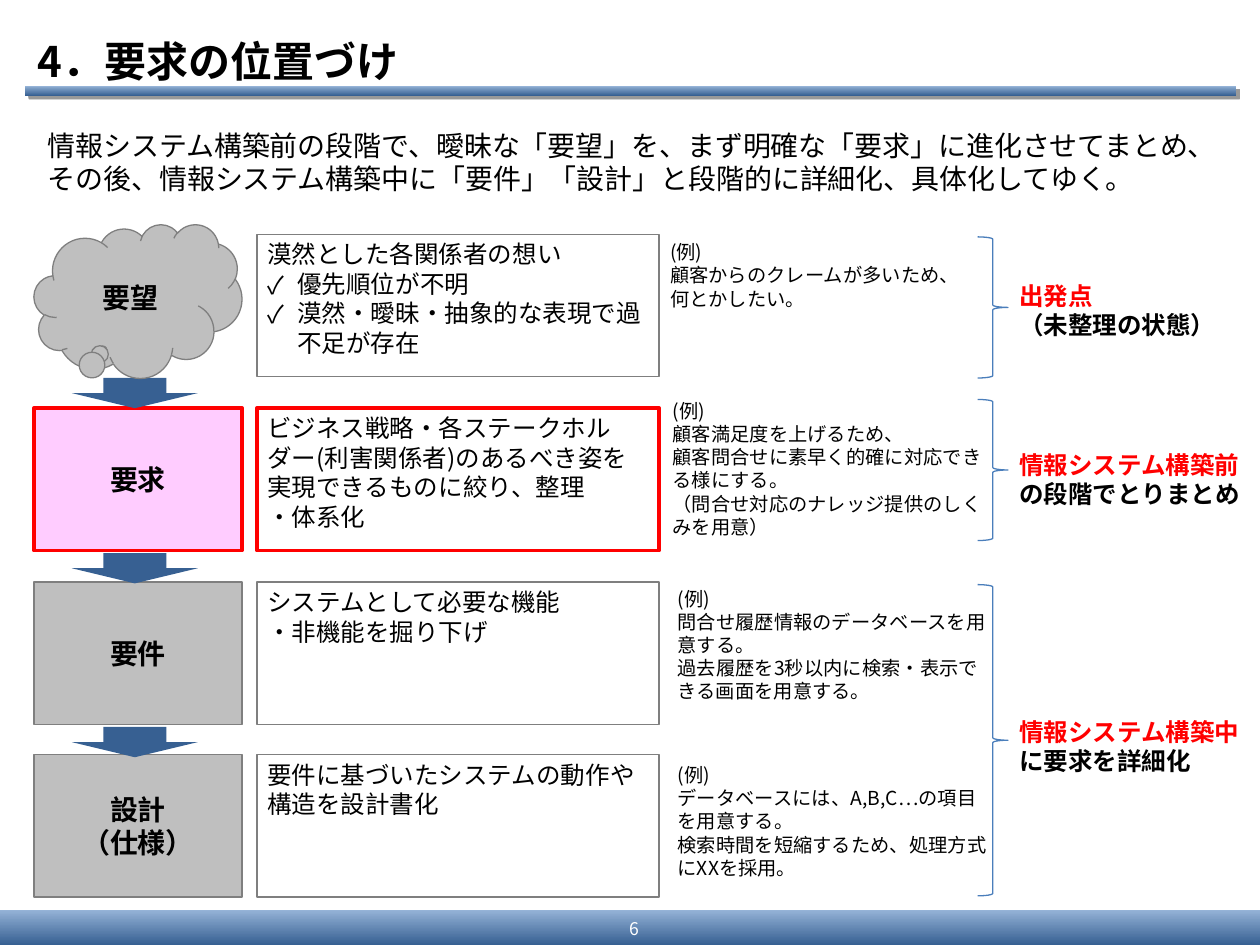
"""Build a slide that places requirements among the stages of a system project."""
from dataclasses import dataclass
from typing import Optional

from lxml import etree
from pptx import Presentation
from pptx import util as u
from pptx.dml.color import RGBColor
from pptx.enum import shapes, text
from pptx.oxml import ns

FONT = "Noto Sans CJK JP"
LINE_RATIO = 1.2
BLACK = RGBColor(0x00, 0x00, 0x00)
WHITE = RGBColor(0xFF, 0xFF, 0xFF)
RED = RGBColor(0xFF, 0x00, 0x00)
PINK = RGBColor(0xFF, 0xCC, 0xFF)
GRAY = RGBColor(0xBF, 0xBF, 0xBF)
DARK_GRAY = RGBColor(0x7F, 0x7F, 0x7F)
NAVY = RGBColor(0x37, 0x60, 0x92)
LIGHT_BLUE = RGBColor(0x95, 0xB3, 0xD7)
BRACE_BLUE = RGBColor(0x4A, 0x7E, 0xBB)


@dataclass(frozen=True)
class Box:
    left: float
    top: float
    width: float
    height: float

    def lengths(self) -> list:
        return [u.Inches(side) for side in (self.left, self.top, self.width, self.height)]


@dataclass(frozen=True)
class Run:
    text: str
    color: RGBColor = BLACK


@dataclass(frozen=True)
class Line:
    runs: tuple
    bullet: bool = False


@dataclass(frozen=True)
class Style:
    size: float
    bold: bool = False
    centered: bool = False
    middle: bool = False
    wrap: bool = True
    inset: tuple = (0.1, 0.05)


@dataclass(frozen=True)
class Stage:
    top: float
    label: tuple
    details: tuple
    example: tuple
    example_left: float
    example_top: float
    arrow_top: Optional[float] = None
    cloud: bool = False
    highlighted: bool = False


@dataclass(frozen=True)
class Phase:
    top: float
    height: float
    note_top: float
    lines: tuple


def plain(*texts: str) -> tuple:
    return tuple(Line((Run(words),)) for words in texts)


def checked(words: str) -> Line:
    return Line((Run(words),), bullet=True)


LABEL = Style(16, bold=True, centered=True, middle=True, wrap=False, inset=(0.08, 0))
DETAIL = Style(14, inset=(0.08, 0.04))
EXAMPLE = Style(11)
NOTE = Style(14, bold=True)

STAGES = (
    Stage(1.86, plain("要望"),
          plain("漠然とした各関係者の想い")
          + (checked("優先順位が不明"), checked("漠然・曖昧・抽象的な表現で過不足が存在")),
          plain("(例)", "顧客からのクレームが多いため、", "何とかしたい。"),
          5.22, 1.86, cloud=True),
    Stage(3.24, plain("要求"),
          plain("ビジネス戦略・各ステークホルダー(利害関係者)のあるべき姿を実現できるものに絞り、整理", "・体系化"),
          plain("(例)", "顧客満足度を上げるため、", "顧客問合せに素早く的確に対応できる様にする。",
                "（問合せ対応のナレッジ提供のしくみを用意）"),
          5.24, 3.12, arrow_top=3, highlighted=True),
    Stage(4.62, plain("要件"),
          plain("システムとして必要な機能", "・非機能を掘り下げ"),
          plain("(例)", "問合せ履歴情報のデータベースを用意する。",
                "過去履歴を3秒以内に検索・表示できる画面を用意する。"),
          5.28, 4.61, arrow_top=4.39),
    Stage(5.99, plain("設計", "（仕様）"),
          plain("要件に基づいたシステムの動作や構造を設計書化"),
          plain("(例)", "データベースには、A,B,C…の項目を用意する。",
                "検索時間を短縮するため、処理方式にXXを採用。"),
          5.28, 6.01, arrow_top=5.77),
)
PHASES = (
    Phase(1.88, 1.12, 2.18,
          (Line((Run("出発点", RED),)), Line((Run("（未整理の状態）"),)))),
    Phase(3.17, 1.12, 3.52, (Line((Run("情報システム構築前", RED), Run("の段階でとりまとめ"))),)),
    Phase(4.64, 2.47, 5.64, (Line((Run("情報システム構築中", RED), Run("に要求を詳細化"))),)),
)


def add_bullet(paragraph) -> None:
    properties = paragraph._p.get_or_add_pPr()
    properties.set("marL", str(u.Inches(0.24)))
    properties.set("indent", str(-u.Inches(0.24)))
    etree.SubElement(properties, ns.qn("a:buFont")).set("typeface", FONT)
    etree.SubElement(properties, ns.qn("a:buChar")).set("char", "✓")


def write(shape, lines: tuple, style: Style) -> None:
    frame = shape.text_frame
    frame.word_wrap = style.wrap
    frame.margin_left = frame.margin_right = u.Inches(style.inset[0])
    frame.margin_top = frame.margin_bottom = u.Inches(style.inset[1])
    frame.vertical_anchor = text.MSO_ANCHOR.MIDDLE if style.middle else text.MSO_ANCHOR.TOP
    for index, line in enumerate(lines):
        paragraph = frame.add_paragraph() if index else frame.paragraphs[0]
        if line.bullet:
            add_bullet(paragraph)
        paragraph.alignment = text.PP_ALIGN.CENTER if style.centered else text.PP_ALIGN.LEFT
        paragraph.line_spacing = u.Pt(style.size * LINE_RATIO)
        for part in line.runs:
            run = paragraph.add_run()
            run.text = part.text
            run.font.size = u.Pt(style.size)
            run.font.bold = style.bold
            run.font.color.rgb = part.color
            run.font.name = FONT
            east_asian = etree.Element(ns.qn("a:ea"), typeface=FONT)
            run._r.rPr.find(ns.qn("a:latin")).addnext(east_asian)


def add_text(slide, box: Box, lines: tuple, style: Style) -> None:
    write(slide.shapes.add_textbox(*box.lengths()), lines, style)


def add_preset(slide, kind, box: Box, fill: Optional[RGBColor] = None,
               line: Optional[RGBColor] = None, weight: float = 0.75):
    shape = slide.shapes.add_shape(kind, *box.lengths())
    shape.shadow.inherit = False
    if fill is None:
        shape.fill.background()
    else:
        shape.fill.solid()
        shape.fill.fore_color.rgb = fill
    if line is None:
        shape.line.fill.background()
    else:
        shape.line.color.rgb = line
        shape.line.width = u.Pt(weight)
    return shape


def add_gradient_bar(slide, box: Box):
    bar = add_preset(slide, shapes.MSO_SHAPE.RECTANGLE, box)
    bar.fill.gradient()
    bar.fill.gradient_angle = 90
    for stop, color in zip(bar.fill.gradient_stops, (NAVY, LIGHT_BLUE)):
        stop.color.rgb = color
    return bar


def add_shadow(shape) -> None:
    effects = shape._element.spPr.find(ns.qn("a:effectLst"))
    shadow = etree.SubElement(effects, ns.qn("a:outerShdw"), dist=str(u.Pt(3)), dir="2700000",
                              algn="tl", rotWithShape="0")
    color = etree.SubElement(shadow, ns.qn("a:srgbClr"), val=str(BLACK))
    etree.SubElement(color, ns.qn("a:alpha"), val="40000")


def add_stage(slide, stage: Stage) -> None:
    kinds = shapes.MSO_SHAPE
    outline, weight = (RED, 2.25) if stage.highlighted else (DARK_GRAY, 0.75)
    detail = add_preset(slide, kinds.RECTANGLE, Box(2.04, stage.top, 3.19, 1.13), WHITE, outline, weight)
    write(detail, stage.details, DETAIL)
    label_box = Box(0.27, 1.78, 1.65, 1.22) if stage.cloud else Box(0.27, stage.top, 1.65, 1.13)
    label = add_preset(slide, kinds.CLOUD_CALLOUT if stage.cloud else kinds.RECTANGLE, label_box,
                       PINK if stage.highlighted else GRAY, outline, weight)
    if stage.cloud:
        label.adjustments[0], label.adjustments[1] = -0.17, 0.32
    write(label, stage.label, LABEL)
    if stage.arrow_top is not None:
        add_preset(slide, kinds.DOWN_ARROW, Box(0.57, stage.arrow_top, 1, 0.24), NAVY)
    add_text(slide, Box(stage.example_left, stage.example_top, 2.71, 1.02), stage.example, EXAMPLE)


def add_phase(slide, phase: Phase) -> None:
    brace = add_preset(slide, shapes.MSO_SHAPE.RIGHT_BRACE,
                       Box(7.76, phase.top, 0.24, phase.height), line=BRACE_BLUE)
    brace.adjustments[0] = 0.08
    add_text(slide, Box(7.99, phase.note_top, 1.97, 0.57), phase.lines, NOTE)


def main() -> None:
    presentation = Presentation()
    presentation.slide_width, presentation.slide_height = u.Inches(10), u.Inches(7.5)
    slide = presentation.slides.add_slide(presentation.slide_layouts[6])
    add_gradient_bar(slide, Box(0, 7.22, 10, 0.28))
    add_shadow(add_gradient_bar(slide, Box(0.2, 0.68, 9.61, 0.08)))
    add_text(slide, Box(4.76, 7.23, 0.55, 0.28), (Line((Run("6", WHITE),)),),
             Style(10, centered=True, middle=True, inset=(0.1, 0.04)))
    add_text(slide, Box(0.2, 0.21, 9.8, 0.54), plain("4．要求の位置づけ"),
             Style(24, bold=True, middle=True))
    add_text(slide, Box(0.28, 0.97, 9.61, 0.64), plain(
        "情報システム構築前の段階で、曖昧な「要望」を、まず明確な「要求」に進化させてまとめ、"
        "その後、情報システム構築中に「要件」「設計」と段階的に詳細化、具体化してゆく。"), Style(16))
    for stage in reversed(STAGES):
        add_stage(slide, stage)
    for phase in PHASES:
        add_phase(slide, phase)
    presentation.save("out.pptx")


if __name__ == "__main__":
    main()
